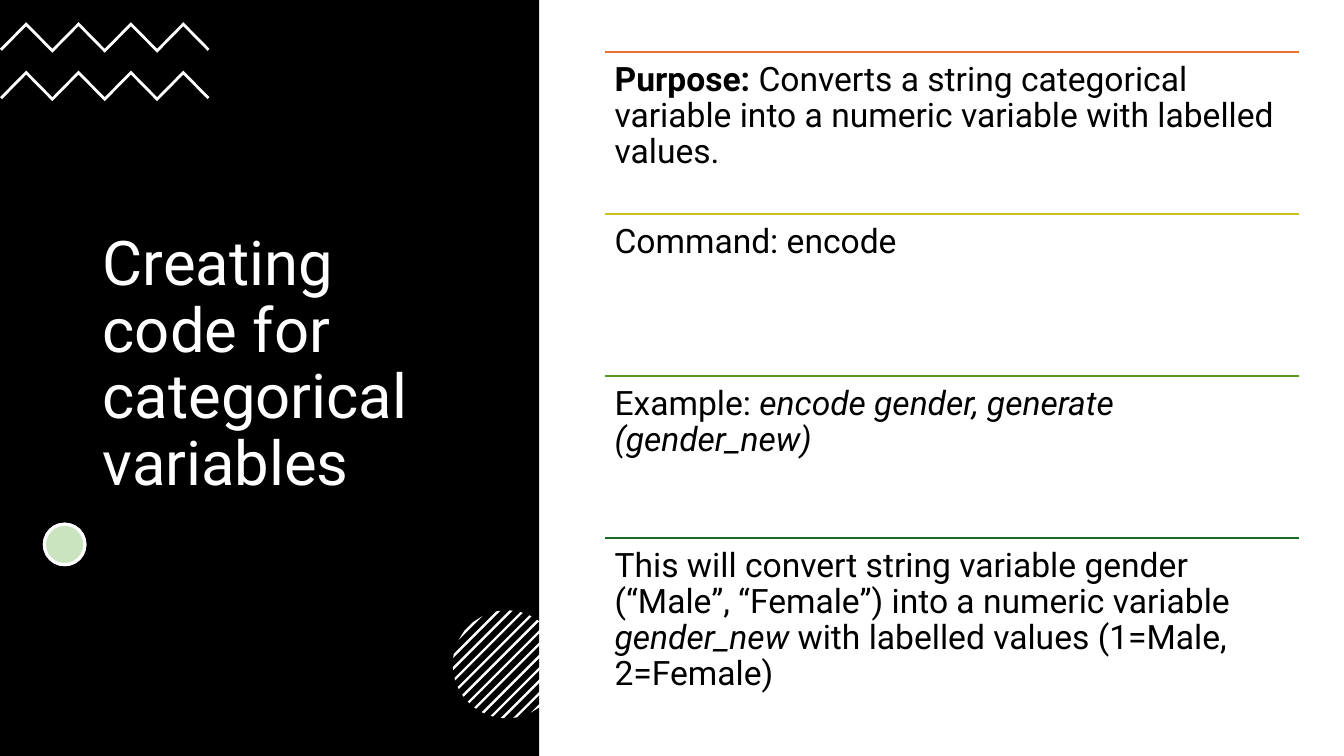
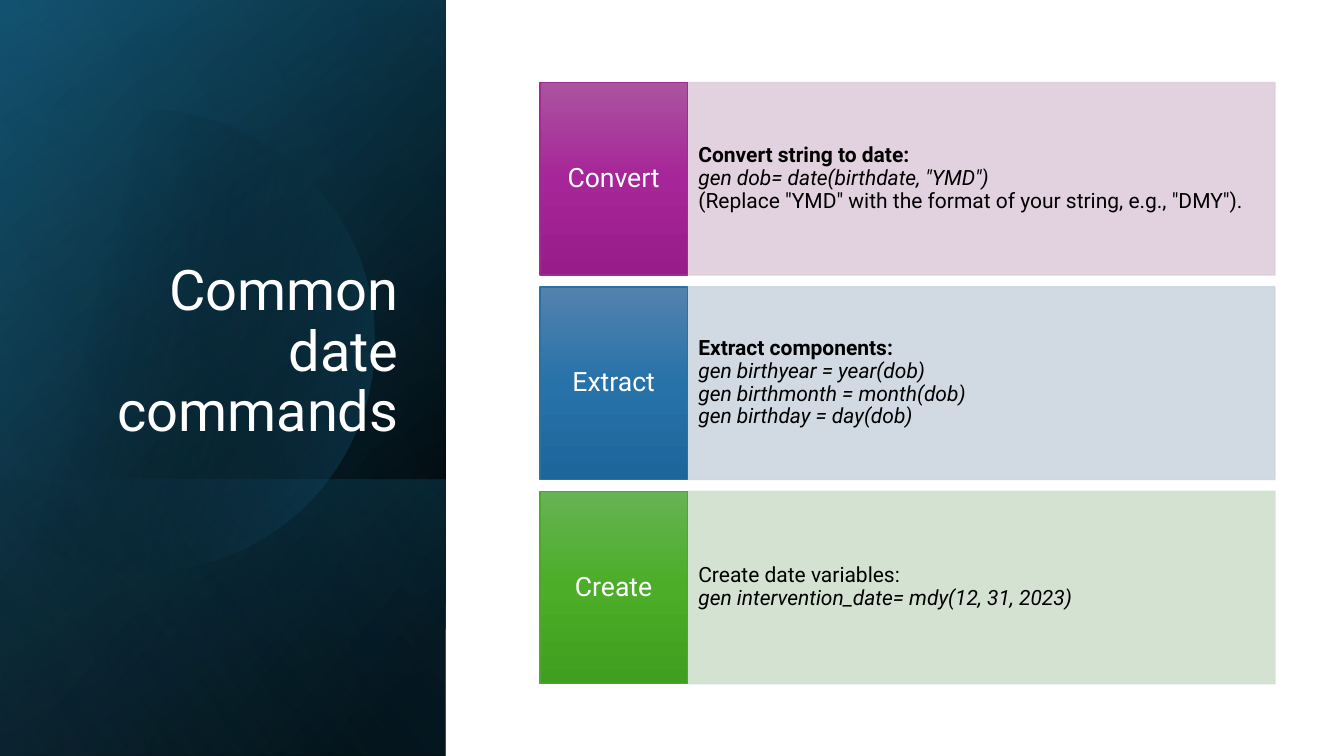
from dataclasses import dataclass
from math import cos, pi, sin, sqrt
from typing import NamedTuple

from pptx import Presentation
from pptx.dml.color import RGBColor
from pptx.enum.shapes import MSO_CONNECTOR, MSO_SHAPE
from pptx.enum.text import MSO_ANCHOR, MSO_AUTO_SIZE, PP_ALIGN
from pptx.oxml import parse_xml
from pptx.oxml.ns import nsdecls, qn
from pptx.util import Cm, Pt

FONT = "Roboto"
WIDE, HIGH = 33.87, 19.05
HEX = {
    "white": "FFFFFF", "black": "000000", "teal": "156082", "deep": "104862",
    "sky": "46B1E1", "leaf": "4EA72E", "orange": "E97132", "olive": "CBC11E",
    "grass": "56991D", "pine": "196B24", "plum": "A02B93", "blue": "2C71A4",
    "rose": "DFCDDC", "mist": "CDD6E0", "sage": "D0E1CD",
}


class Run(NamedTuple):
    text: str
    bold: bool = False
    italic: bool = False


class Box(NamedTuple):
    """Left, top, width and height in centimetres."""
    left: float
    top: float
    wide: float
    high: float

    def emu(self) -> list:
        return [Cm(side) for side in self]


class Stop(NamedTuple):
    at: int
    tint: str
    alpha: int = 100


@dataclass
class Row:
    tint: str
    runs: list


@dataclass
class Layer:
    """A gradient wash across the side panel."""
    top: float
    high: float
    stops: list
    angle: int


@dataclass
class Card:
    label: str
    edge: str
    pale: str
    shades: tuple
    runs: list


ROWS = [
    Row("orange", [Run("Purpose:", bold=True),
                   Run(" Converts a string categorical variable into a numeric "
                       "variable with labelled values.")]),
    Row("olive", [Run("Command: encode")]),
    Row("grass", [Run("Example: "),
                  Run("encode gender, generate (gender_new)", italic=True)]),
    Row("pine", [Run("This will convert string variable gender (“Male”, “Female”) "
                     "into a numeric variable "),
                 Run("gender_new ", italic=True),
                 Run("with labelled values (1=Male, 2=Female)")]),
]

LAYERS = [
    Layer(0, HIGH, [Stop(8, "black"), Stop(100, "deep")], 50),
    Layer(0, HIGH, [Stop(0, "black", 0), Stop(99, "teal", 46)], 30),
    Layer(12.09, 6.96, [Stop(2, "teal", 29), Stop(100, "black", 30)], 130),
]
SHEEN = Layer(0, HIGH, [Stop(0, "black", 0), Stop(99, "sky", 11)], 120)

CARDS = [
    Card("Convert", "plum", "rose", ("AC53A0", "A62598", "991C8B"),
         [Run("Convert string to date:\n", bold=True),
          Run('gen dob= date(birthdate, "YMD")\n', italic=True),
          Run('(Replace "YMD" with the format of your string, e.g., "DMY").')]),
    Card("Extract", "blue", "mist", ("5382AF", "2772A9", "1D669C"),
         [Run("Extract components:\n", bold=True),
          Run("gen birthyear = year(dob)\ngen birthmonth = month(dob)\n"
              "gen birthday = day(dob)", italic=True)]),
    Card("Create", "leaf", "sage", ("66B354", "4BAD28", "409F1E"),
         [Run("Create date variables:\n"),
          Run("gen intervention_date= mdy(12, 31, 2023)", italic=True)]),
]


def color(tint: str) -> RGBColor:
    return RGBColor.from_string(HEX.get(tint, tint))


def write(shape, runs: list, *, size: float, tint: str = "black",
          align=PP_ALIGN.LEFT, anchor=MSO_ANCHOR.TOP, pad: tuple = (0.25, 0.25)) -> None:
    """Fill a shape with one paragraph; pad is the side and top inset."""
    frame = shape.text_frame
    frame.word_wrap = True
    frame.auto_size = MSO_AUTO_SIZE.NONE
    frame.vertical_anchor = anchor
    frame.margin_left = frame.margin_right = Cm(pad[0])
    frame.margin_top = frame.margin_bottom = Cm(pad[1])
    para = frame.paragraphs[0]
    para.alignment = align
    para.line_spacing = 0.9
    for run in runs:
        for num, line in enumerate(run.text.split("\n")):
            if num:
                para.add_line_break()
            if not line:
                continue
            part = para.add_run()
            part.text = line
            font = part.font
            font.name, font.size = FONT, Pt(size)
            font.bold, font.italic = run.bold, run.italic
            font.color.rgb = color(tint)


def fill(shape, tint: str) -> None:
    shape.shadow.inherit = False
    shape.fill.solid()
    shape.fill.fore_color.rgb = color(tint)
    shape.line.fill.background()


def edge(shape, tint: str, width: float) -> None:
    shape.line.color.rgb = color(tint)
    shape.line.width = Pt(width)


def fade(shape, alpha: int) -> None:
    """Make the colours set so far partly transparent."""
    for node in shape.element.spPr.iter(qn("a:srgbClr")):
        node.append(parse_xml(f'<a:alpha {nsdecls("a")} val="{alpha * 1000}"/>'))


def blend(shape, stops: list, angle: int) -> None:
    """Give a new shape a linear gradient and no outline."""
    marks = "".join(
        f'<a:gs pos="{stop.at * 1000}"><a:srgbClr val="{color(stop.tint)}">'
        f'<a:alpha val="{stop.alpha * 1000}"/></a:srgbClr></a:gs>' for stop in stops)
    shape.element.spPr.insert(2, parse_xml(
        f'<a:gradFill {nsdecls("a")} rotWithShape="1"><a:gsLst>{marks}</a:gsLst>'
        f'<a:lin ang="{angle * 60000}" scaled="0"/></a:gradFill>'))
    shape.shadow.inherit = False
    shape.line.fill.background()


def add(slide, box: Box, kind=MSO_SHAPE.RECTANGLE):
    return slide.shapes.add_shape(kind, *box.emu())


def trace(slide, points: list):
    """Draw a closed outline through points in centimetres."""
    spots = [(Cm(x), Cm(y)) for x, y in points]
    pen = slide.shapes.build_freeform(*spots[0])
    pen.add_line_segments(spots[1:], close=True)
    return pen.convert_to_shape()


def head(slide, text: str, box: Box, **style) -> None:
    """Place the title above what is drawn so far."""
    title = slide.shapes.title
    title.left, title.top, title.width, title.height = box.emu()
    title.element.getparent().append(title.element)
    write(title, [Run(text)], tint="white", pad=(0.25, 0.13), **style)


def zigzag(slide, top: float) -> None:
    step, rise, thick = 0.66, 0.67, 0.1
    upper = [(k * step, top + (0 if k % 2 else rise)) for k in range(9)]
    lower = [(x, y + thick) for x, y in upper[-2:0:-1]]
    foot = top + rise + thick / 2
    ends = [(8 * step - 0.05, foot)], [(0.05, foot)]
    fill(trace(slide, upper + ends[0] + lower + ends[1]), "white")


def hatch(slide, x: float, y: float, size: float) -> None:
    """Fill a circle with diagonal stripes."""
    gap, half = 0.22, 0.03
    for k in range(-6, 7):
        points = []
        for off, way in ((-half, 1), (-half, -1), (half, -1), (half, 1)):
            dist = k * gap + off
            reach = way * sqrt(size ** 2 - dist ** 2)
            points.append((x + (dist + reach) / sqrt(2), y + (dist - reach) / sqrt(2)))
        fill(trace(slide, points), "white")


def rule(slide, x: float, y: float, wide: float, tint: str) -> None:
    line = slide.shapes.add_connector(
        MSO_CONNECTOR.STRAIGHT, Cm(x), Cm(y), Cm(x + wide), Cm(y))
    edge(line, tint, 1.5)
    line.element.spPr.append(parse_xml(f'<a:effectLst {nsdecls("a")}/>'))


def wash(slide, layer: Layer, wide: float) -> None:
    """Lay a turned, mirrored gradient over the panel."""
    shift = (wide - layer.high) / 2
    shape = add(slide, Box(shift, layer.top - shift, layer.high, wide))
    shape.rotation = 90
    shape.element.spPr.find(qn("a:xfrm")).set("flipH", "1")
    blend(shape, layer.stops, layer.angle)


def disc(slide, x: float, y: float, size: float) -> None:
    """Draw a large circle, cut off at the slide's left edge."""
    turns = [2 * pi * k / 120 for k in range(120)]
    shape = trace(slide, [(max(0, x + size * cos(t)), y + size * sin(t)) for t in turns])
    blend(shape, [Stop(29, "black", 0), Stop(100, "teal", 43)], 14)


def encode(slide) -> None:
    fill(add(slide, Box(0, 0, 13.59, HIGH)), "black")
    head(slide, "Creating code for categorical variables",
         Box(2.34, 3.33, 8.89, 11.76), size=44, anchor=MSO_ANCHOR.MIDDLE)
    for top in (0.56, 1.78):
        zigzag(slide, top)
    for tint, alpha in (("white", 100), ("leaf", 30)):
        dot = add(slide, Box(1.12, 13.21, 1.02, 1.02), MSO_SHAPE.OVAL)
        fill(dot, tint)
        fade(dot, alpha)
        edge(dot, "white", 2.25)
    hatch(slide, 12.77, 16.74, 1.36)

    left, top, wide, step = 15.24, 1.32, 17.5, 4.08
    for num, row in enumerate(ROWS):
        y = top + num * step
        rule(slide, left, y, wide, row.tint)
        note = slide.shapes.add_textbox(*Box(left, y, wide, step).emu())
        write(note, row.runs, size=24)


def dates(slide) -> None:
    panel = 11.23
    for layer in LAYERS:
        wash(slide, layer, panel)
    disc(slide, 3.63, 8.59, 5.82)
    wash(slide, SHEEN, panel)
    head(slide, "Common date commands", Box(1.63, 4.67, 8.66, 6.65),
         size=40, align=PP_ALIGN.RIGHT, anchor=MSO_ANCHOR.BOTTOM)

    left, top, tab, wide, high, step = 13.61, 2.08, 3.71, 14.81, 4.85, 5.15
    for num, card in enumerate(CARDS):
        y = top + num * step
        body = add(slide, Box(left + tab, y, wide, high))
        fill(body, card.pale)
        edge(body, card.pale, 1)
        fade(body, 90)
        write(body, card.runs, size=15, anchor=MSO_ANCHOR.MIDDLE, pad=(0.28, 1.24))
        tile = add(slide, Box(left, y, tab, high))
        blend(tile, [Stop(50 * k, shade) for k, shade in enumerate(card.shades)], 90)
        edge(tile, card.edge, 1)
        write(tile, [Run(card.label)], size=19, tint="white", align=PP_ALIGN.CENTER,
              anchor=MSO_ANCHOR.MIDDLE, pad=(0.2, 0.48))


def main() -> None:
    deck = Presentation()
    deck.slide_width, deck.slide_height = Cm(WIDE), Cm(HIGH)
    for draw in (encode, dates):
        draw(deck.slides.add_slide(deck.slide_layouts[5]))
    deck.save("out.pptx")


if __name__ == "__main__":
    main()
